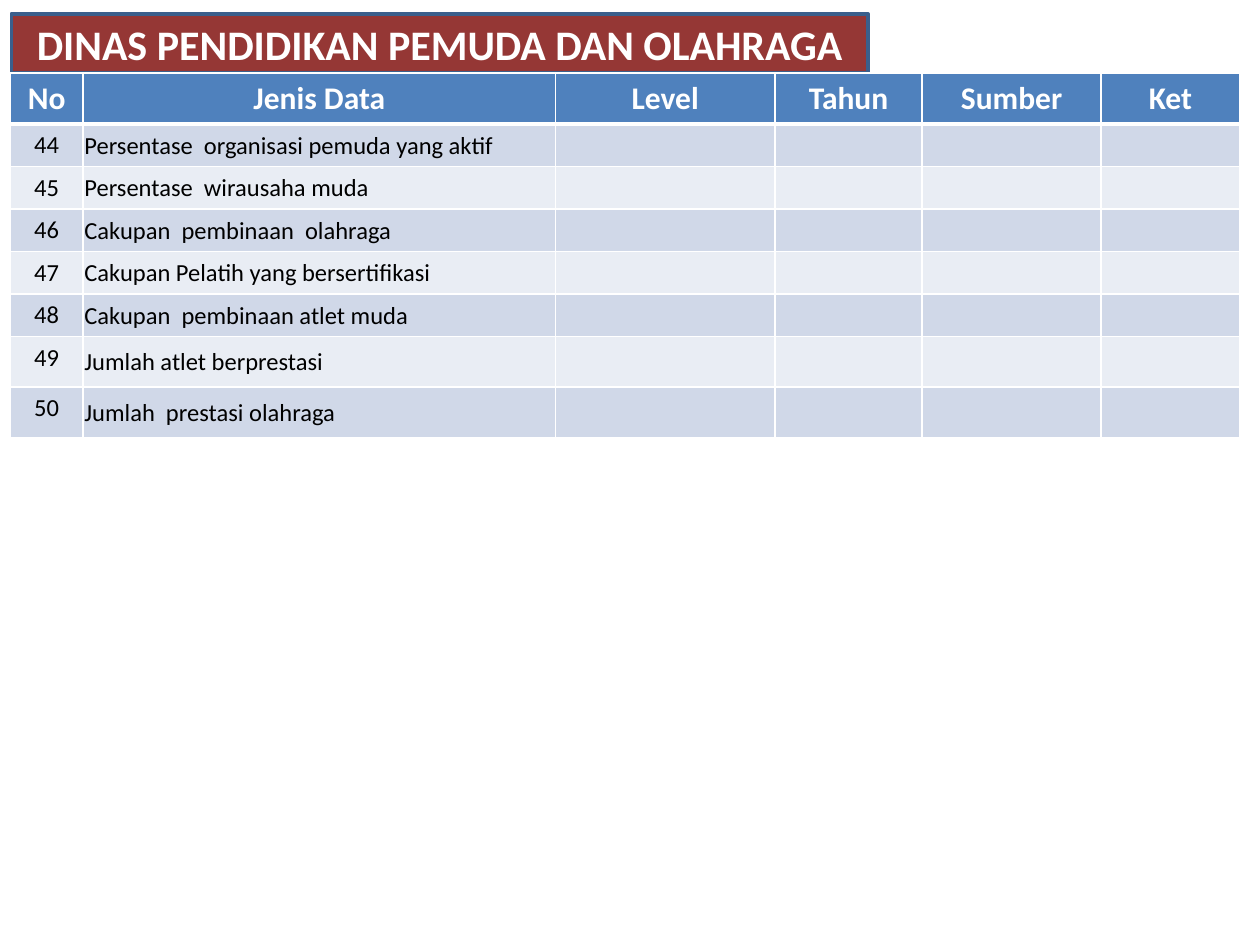
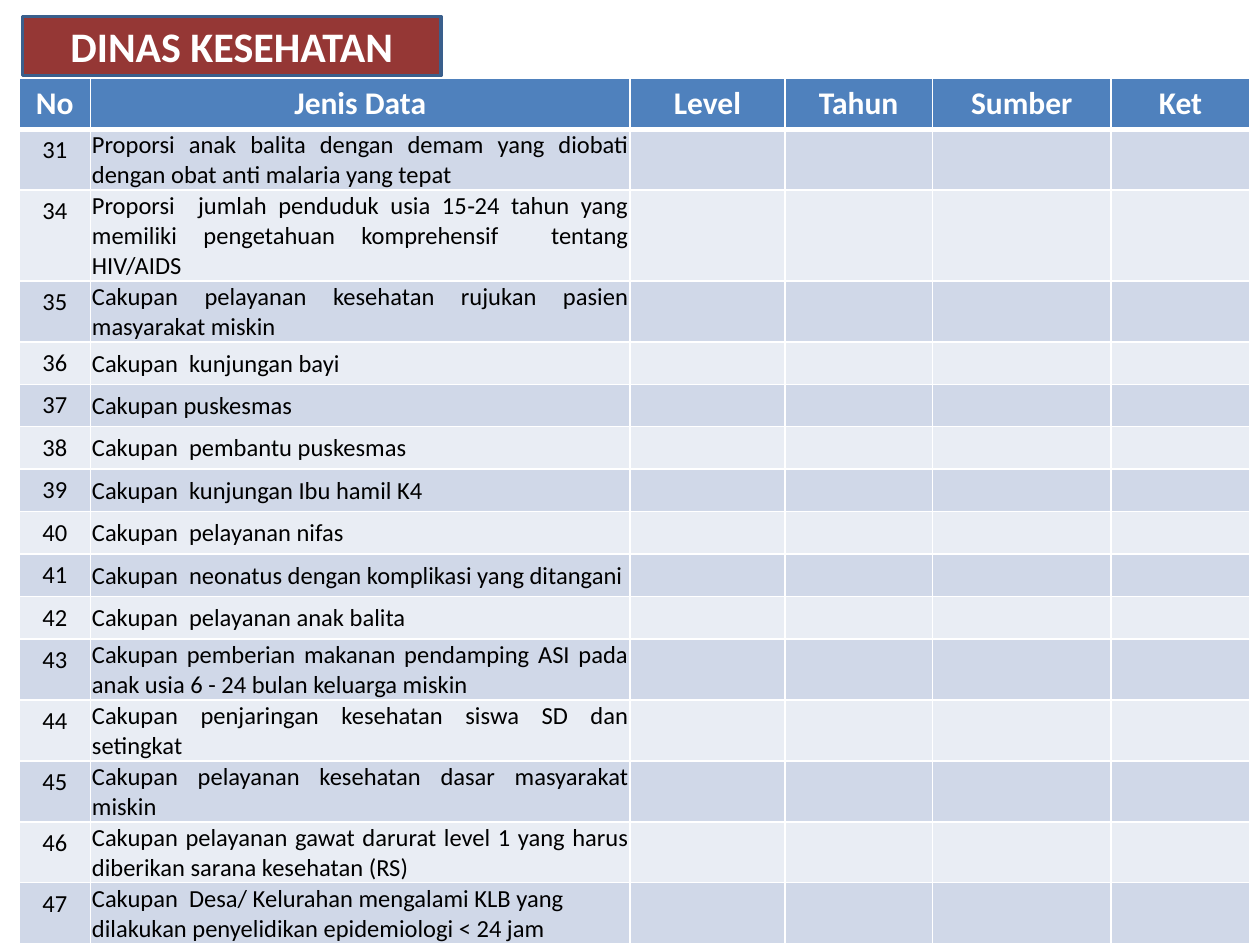
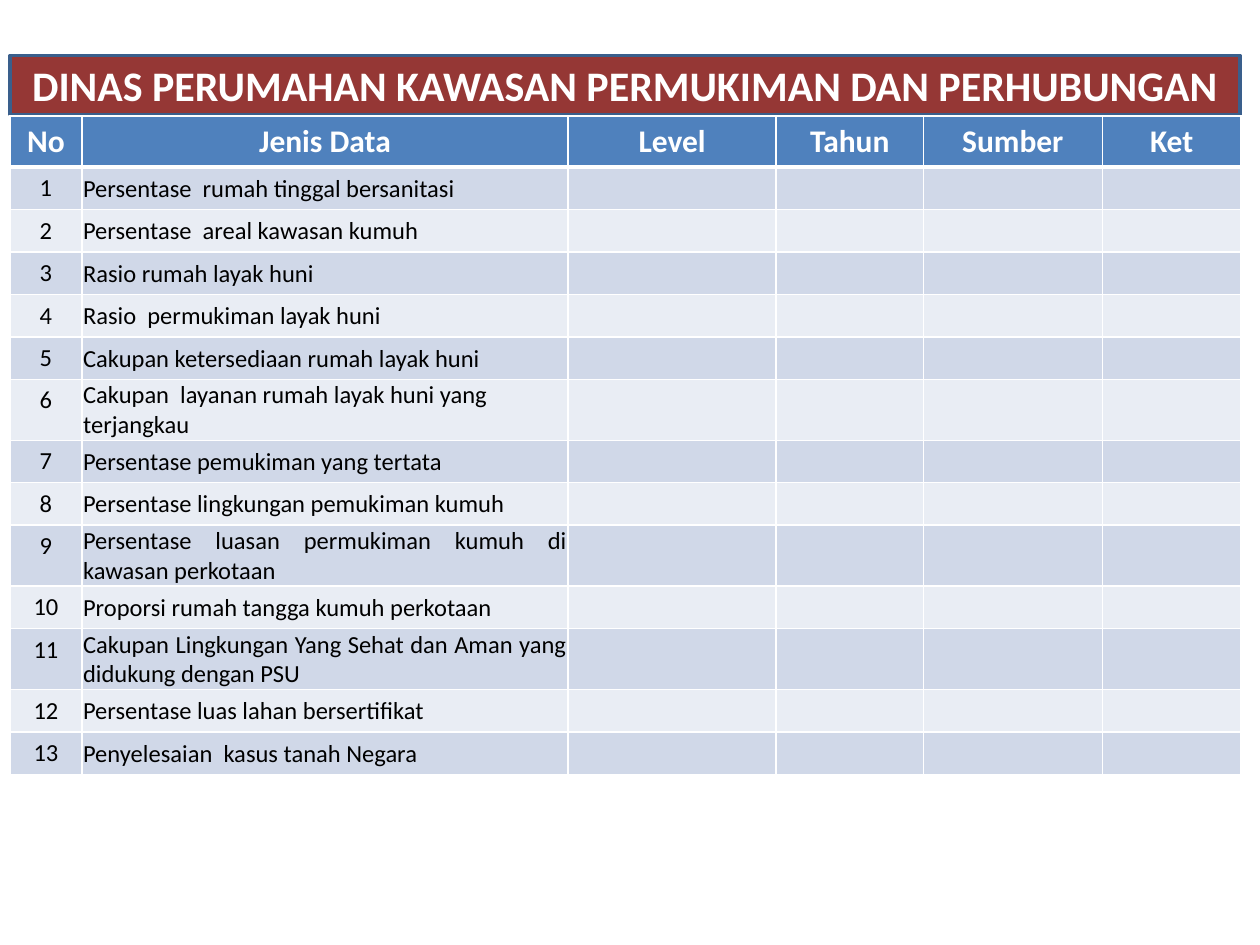
from lxml import etree
from pptx import Presentation
from pptx.dml.color import RGBColor
from pptx.enum.text import MSO_ANCHOR, MSO_AUTO_SIZE, PP_ALIGN
from pptx.oxml.ns import qn
from pptx.util import Inches, Pt

LEFT, CENTER, JUSTIFY = PP_ALIGN.LEFT, PP_ALIGN.CENTER, PP_ALIGN.JUSTIFY
MIDDLE = MSO_ANCHOR.MIDDLE
NO_FIT = MSO_AUTO_SIZE.NONE

COLORS = {
    "banner": "953735", "banner_line": "3A5F8C", "header": "4F81BD",
    "odd": "D0D8E8", "even": "E9EDF4", "white": "FFFFFF", "black": "000000",
}
FONT = "Calibri"
TITLE_FONT = {"name": FONT, "size": Pt(24), "bold": True}
HEADER_FONT = {"name": FONT, "size": Pt(18), "bold": True}
BODY_FONT = {"name": FONT, "size": Pt(14), "bold": False}
NARROW = {"margin_left": Inches(0.01), "margin_right": Inches(0.01),
          "margin_top": Inches(0.01), "margin_bottom": 0,
          "vertical_anchor": MIDDLE}

HEADERS = ["No", "Jenis Data", "Level", "Tahun", "Sumber", "Ket"]
LAST_COLS = [1.17, 1.42, 1.1]  # Tahun, Sumber, Ket
HEADER_H, ROW_H = 0.36, 0.33

# Each slide: banner box, table corner, first column widths, numbered rows,
# numbers of the justified rows, and rows with their own height
SLIDES = [
    {
        "title": "DINAS PENDIDIKAN PEMUDA DAN OLAHRAGA",
        "banner": (0.09, 0.11, 6.8, 0.47),
        "corner": (0.08, 0.58),
        "cols": [0.58, 3.75, 1.74],
        "rows": {
            44: "Persentase  organisasi pemuda yang aktif",
            45: "Persentase  wirausaha muda",
            46: "Cakupan  pembinaan  olahraga",
            47: "Cakupan Pelatih yang bersertifikasi",
            48: "Cakupan  pembinaan atlet muda",
            49: "Jumlah atlet berprestasi",
            50: "Jumlah  prestasi olahraga",
        },
        "justified": (),
        "heights": {49: 0.4, 50: 0.4},
    },
    {
        "title": "DINAS KESEHATAN",
        "banner": (0.18, 0.13, 3.32, 0.47),
        "corner": (0.15, 0.62),
        "cols": [0.57, 4.28, 1.23],
        "rows": {
            31: "Proporsi anak balita dengan demam yang diobati dengan obat "
                "anti malaria yang tepat",
            34: "Proporsi  jumlah penduduk usia 15‐24 tahun yang memiliki "
                "pengetahuan komprehensif  tentang HIV/AIDS",
            35: "Cakupan pelayanan kesehatan rujukan pasien masyarakat miskin",
            36: "Cakupan  kunjungan bayi",
            37: "Cakupan puskesmas",
            38: "Cakupan  pembantu puskesmas",
            39: "Cakupan  kunjungan Ibu hamil K4",
            40: "Cakupan  pelayanan nifas",
            41: "Cakupan  neonatus dengan komplikasi yang ditangani",
            42: "Cakupan  pelayanan anak balita",
            43: "Cakupan pemberian makanan pendamping ASI pada anak usia "
                "6 - 24 bulan keluarga miskin",
            44: "Cakupan penjaringan kesehatan siswa SD dan setingkat",
            45: "Cakupan pelayanan kesehatan dasar masyarakat miskin",
            46: "Cakupan pelayanan gawat darurat level 1 yang harus diberikan "
                "sarana kesehatan (RS)",
            47: "Cakupan  Desa/ Kelurahan mengalami KLB yang dilakukan "
                "penyelidikan epidemiologi < 24 jam",
        },
        "justified": (31, 34, 35, 43, 44, 45, 46),
        "heights": {},
    },
    {
        "title": "DINAS PERUMAHAN KAWASAN PERMUKIMAN DAN PERHUBUNGAN",
        "banner": (0.08, 0.44, 9.76, 0.47),
        "corner": (0.08, 0.92),
        "cols": [0.57, 3.86, 1.65],
        "rows": {
            1: "Persentase  rumah tinggal bersanitasi",
            2: "Persentase  areal kawasan kumuh",
            3: "Rasio rumah layak huni",
            4: "Rasio  permukiman layak huni",
            5: "Cakupan ketersediaan rumah layak huni",
            6: "Cakupan  layanan rumah layak huni yang terjangkau",
            7: "Persentase pemukiman yang tertata",
            8: "Persentase lingkungan pemukiman kumuh",
            9: "Persentase luasan permukiman kumuh di kawasan perkotaan",
            10: "Proporsi rumah tangga kumuh perkotaan",
            11: "Cakupan Lingkungan Yang Sehat dan Aman yang didukung dengan PSU",
            12: "Persentase luas lahan bersertifikat",
            13: "Penyelesaian  kasus tanah Negara",
        },
        "justified": (7, 8, 9, 10, 11),
        "heights": {},
    },
]


def rgb(name):
    return RGBColor.from_string(COLORS[name])


def apply(obj, values):
    for name, value in values.items():
        setattr(obj, name, value)


def write(tf, text, font, color, align):
    p = tf.paragraphs[0]
    p.alignment = align
    r = p.add_run()
    r.text = text
    apply(r.font, font)
    r.font.color.rgb = rgb(color)


def add_banner(s, box, text):
    """Turn the title placeholder into a rounded banner."""
    sp = s.shapes.title
    apply(sp, dict(zip(("left", "top", "width", "height"), map(Inches, box))))
    geom = etree.SubElement(sp._element.spPr, qn("a:prstGeom"), prst="roundRect")
    etree.SubElement(geom, qn("a:avLst"))
    sp.fill.solid()
    sp.fill.fore_color.rgb = rgb("banner")
    sp.line.color.rgb = rgb("banner_line")
    sp.line.width = Pt(2)
    tf = sp.text_frame
    apply(tf, {"word_wrap": False, "auto_size": NO_FIT, "vertical_anchor": MIDDLE})
    write(tf, text, TITLE_FONT, "white", CENTER)


def set_borders(cell, top, bottom):
    tc_pr = cell._tc.get_or_add_tcPr()
    for side, width in {"L": 1, "R": 1, "T": top, "B": bottom}.items():
        ln = etree.SubElement(tc_pr, qn(f"a:ln{side}"), w=str(Pt(width)))
        fill = etree.SubElement(ln, qn("a:solidFill"))
        etree.SubElement(fill, qn("a:srgbClr"), val=COLORS["white"])


def add_data_table(s, corner, cols, rows, justified, heights):
    """Place the numbered indicator table with its top left at corner."""
    widths = cols + LAST_COLS
    row_heights = [HEADER_H] + [heights.get(no, ROW_H) for no in rows]
    x, y = corner
    tbl = s.shapes.add_table(
        len(row_heights), len(widths), Inches(x), Inches(y),
        Inches(sum(widths)), Inches(sum(row_heights))).table
    for col, width in zip(tbl.columns, widths):
        col.width = Inches(width)
    for row, height in zip(tbl.rows, row_heights):
        row.height = Inches(height)

    # Borders and banding
    for i, row in enumerate(tbl.rows):
        color = "header" if i == 0 else "odd" if i % 2 else "even"
        for cell in row.cells:
            set_borders(cell, 3 if i == 1 else 1, 3 if i == 0 else 1)
            cell.fill.solid()
            cell.fill.fore_color.rgb = rgb(color)

    # Header row
    for j, text in enumerate(HEADERS):
        write(tbl.cell(0, j).text_frame, text, HEADER_FONT, "white", CENTER)

    # Numbered rows; the empty cells keep the body size so rows stay low
    for i, (no, text) in enumerate(rows.items(), 1):
        write(tbl.cell(i, 0).text_frame, str(no), BODY_FONT, "black", CENTER)
        cell = tbl.cell(i, 1)
        apply(cell, NARROW)
        align = JUSTIFY if no in justified else LEFT
        write(cell.text_frame, text, BODY_FONT, "black", align)
        for j in range(2, len(widths)):
            p = tbl.cell(i, j).text_frame.paragraphs[0]
            etree.SubElement(p._p, qn("a:endParaRPr"), sz="1400")


def add_data_slide(prs, data):
    s = prs.slides.add_slide(prs.slide_layouts[5])
    add_banner(s, data["banner"], data["title"])
    add_data_table(s, data["corner"], data["cols"], data["rows"],
                   data["justified"], data["heights"])


def main():
    prs = Presentation()
    prs.slide_width, prs.slide_height = Inches(10), Inches(7.5)
    for data in SLIDES:
        add_data_slide(prs, data)
    prs.save("out.pptx")


if __name__ == "__main__":
    main()
